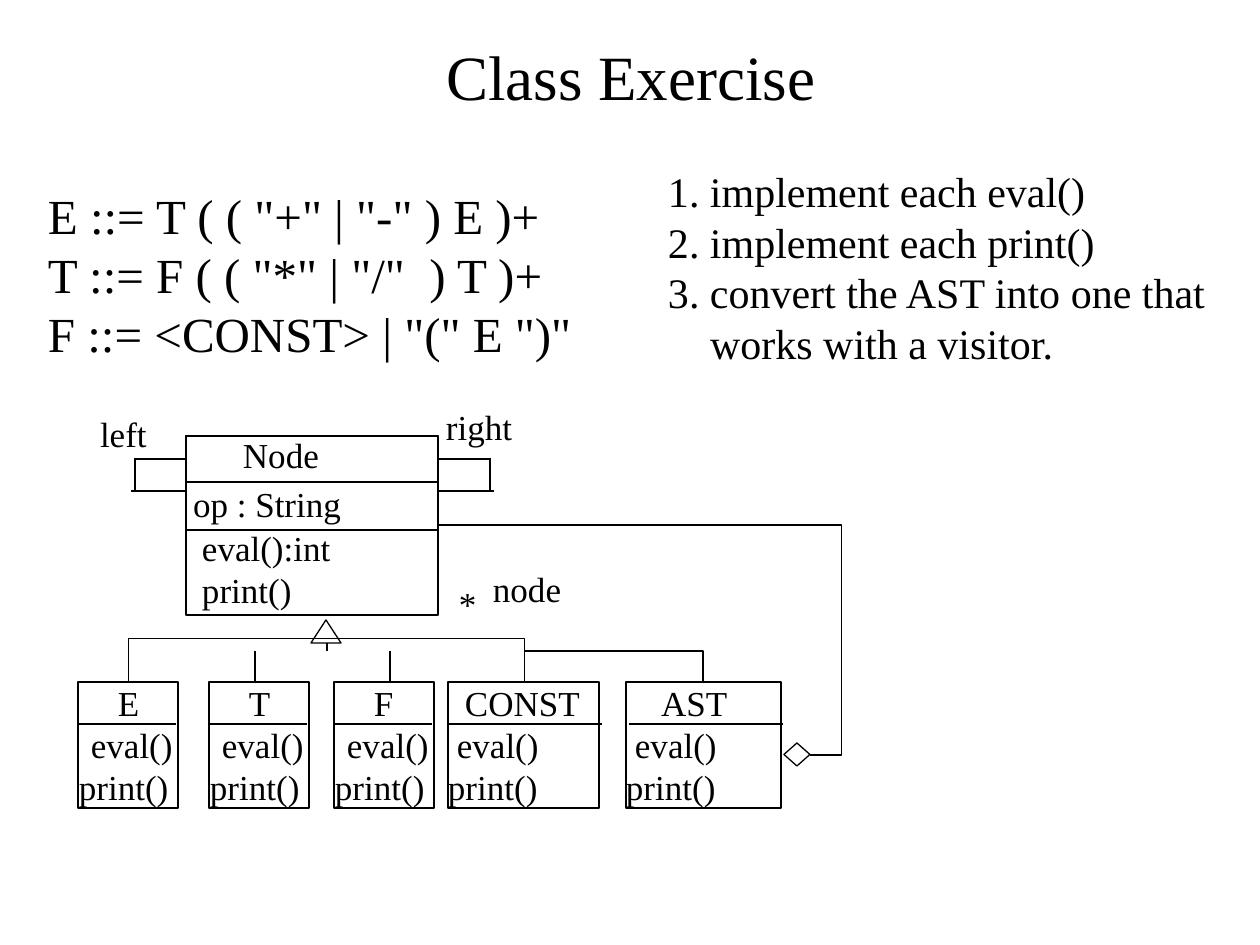
import lxml.etree
import pptx
import pptx.dml.color
import pptx.enum.shapes
import pptx.enum.text
import pptx.oxml.ns
import pptx.util

PX = 914400 // 126
BLACK = "000000"
WHITE = "FFFFFF"
FONT = "Times New Roman"
SHAPES = pptx.enum.shapes.MSO_SHAPE
CONNECTORS = pptx.enum.shapes.MSO_CONNECTOR
ALIGN = pptx.enum.text.PP_ALIGN
ANCHOR = pptx.enum.text.MSO_ANCHOR


def px(*lengths):
    """Turn pixel lengths into EMU."""
    return [pptx.util.Emu(length * PX) for length in lengths]


def color(value):
    """Turn a hex string into a colour."""
    return pptx.dml.color.RGBColor.from_string(value)


def write(shape, lines, size=20, indents=(), align=ALIGN.LEFT, anchor=ANCHOR.TOP):
    """Write one paragraph per line, each with its own left indent."""
    frame = shape.text_frame
    frame.word_wrap = True
    frame.vertical_anchor = anchor
    frame.margin_left = frame.margin_top = frame.margin_right = frame.margin_bottom = 0
    for index, line in enumerate(lines):
        para = frame.paragraphs[0] if index == 0 else frame.add_paragraph()
        if indents:
            properties = para._p.get_or_add_pPr()
            properties.set("marL", str(indents[index] * PX))
            properties.set("indent", "0")
        para.alignment = align
        para.line_spacing = pptx.util.Pt(size * 1.2)
        span = para.add_run()
        span.text = line
        span.font.name = FONT
        span.font.size = pptx.util.Pt(size)
        span.font.color.rgb = color(BLACK)


def add_text(page, bounds, lines, **style):
    """Add a text box."""
    box = page.shapes.add_textbox(*px(*bounds))
    write(box, lines, **style)
    return box


def add_outline(page, bounds, kind=SHAPES.RECTANGLE, fill=None):
    """Add a preset shape with a thin black outline."""
    shape = page.shapes.add_shape(kind, *px(*bounds))
    shape.shadow.inherit = False
    if fill:
        shape.fill.solid()
        shape.fill.fore_color.rgb = color(fill)
    else:
        shape.fill.background()
    shape.line.color.rgb = color(BLACK)
    shape.line.width = pptx.util.Pt(0.75)
    return shape


def add_line(page, start, end, kind=CONNECTORS.STRAIGHT):
    """Add a thin black connector without a shadow."""
    line = page.shapes.add_connector(kind, *px(*start, *end))
    line.line.color.rgb = color(BLACK)
    line.line.width = pptx.util.Pt(0.75)
    lxml.etree.SubElement(line._element.spPr, pptx.oxml.ns.qn("a:effectLst"))
    return line


def add_elbow(page, start, end, preset="bentConnector3", turned=False, bend=None):
    """Add a bent connector, optionally turned by 270 degrees."""
    line = add_line(page, start, end, CONNECTORS.ELBOW)
    properties = line._element.spPr
    if turned:
        properties.find(pptx.oxml.ns.qn("a:xfrm")).set("rot", "16200000")
    geometry = properties.find(pptx.oxml.ns.qn("a:prstGeom"))
    geometry.set("prst", preset)
    if bend is not None:
        guides = geometry.get_or_add_avLst()
        guide = lxml.etree.SubElement(guides, pptx.oxml.ns.qn("a:gd"))
        guide.set("name", "adj1")
        guide.set("fmla", f"val {round(bend * 100000)}")
    return line


def add_node_class(page):
    """Draw the Node class with its left and right associations."""
    left, right, top = 186, 438, 436
    add_outline(page, (left, top, right - left, 179))
    header = add_outline(page, (left, top, right - left, 46))
    for y in (482, 530):
        add_line(page, (left, y), (right, y))
    add_text(page, (243, 433, 86, 42), ["Node"])
    add_text(page, (193, 483, 160, 42), ["op : String"])
    add_text(page, (202, 527, 218, 84), ["eval():int", "print()"])
    for side, edge, upper, lower, turn in ((1, left, 134, 131, 135), (3, right, 491, 494, 490)):
        add_line(page, (edge, 459), (upper, 459)).begin_connect(header, side)
        add_line(page, (edge, 491), (lower, 491))
        add_line(page, (turn, 459), (turn, 491))


def add_subclass(page, name, left, width, rule_left, rule_width, indents):
    """Draw a subclass box with its name and methods."""
    box = add_outline(page, (left, 682, width, 126))
    write(box, [name, "eval()", "print()"], indents=indents)
    add_line(page, (rule_left, 724), (rule_left + rule_width, 724))


def add_inheritance(page):
    """Draw the inheritance tree between Node and its subclasses."""
    add_outline(page, (311, 620, 30, 23), SHAPES.ISOSCELES_TRIANGLE)
    add_elbow(page, (327, 484), (326, 880), turned=True, bend=-43)
    add_elbow(page, (598, 756), (629, 577), "bentConnector2", turned=True)
    add_line(page, (327, 643), (327, 651))
    for x in (255, 390):
        add_line(page, (x, 651), (x, 682))


def add_aggregation(page):
    """Draw the aggregation from AST to Node."""
    add_elbow(page, (810, 755), (438, 525), bend=-0.085)
    add_outline(page, (784, 743, 26, 23), SHAPES.DIAMOND, WHITE)
    add_text(page, (459, 582, 24, 42), ["*"])
    add_text(page, (493, 567, 78, 42), ["node"])


def main():
    """Build the class exercise slide."""
    deck = pptx.Presentation()
    deck.slide_width, deck.slide_height = px(1260, 945)
    page = deck.slides.add_slide(deck.slide_layouts[6])
    page.background.fill.solid()
    page.background.fill.fore_color.rgb = color(WHITE)

    add_text(page, (29, 30, 1204, 91), ["Class Exercise"], size=36,
             align=ALIGN.CENTER, anchor=ANCHOR.MIDDLE)
    add_text(page, (48, 186, 540, 176), [
        'E ::= T ( ( "+" | "-" ) E )+',
        'T ::= F ( ( "*" | "/"  ) T )+',
        'F ::= <CONST> | "(" E ")"',
    ], size=28)
    add_text(page, (668, 166, 550, 202), [
        "1. implement each eval()",
        "2. implement each print()",
        "3. convert the AST into one that",
        "works with a visitor.",
    ], size=24, indents=(0, 0, 0, 42))

    add_node_class(page)
    add_text(page, (100, 412, 56, 42), ["left"])
    add_text(page, (446, 405, 77, 42), ["right"])
    for name, left in (("E", 78), ("T", 209), ("F", 334)):
        add_subclass(page, name, left, 100, left, 98, (40, 13, 1))
    add_subclass(page, "CONST", 448, 151, 448, 154, (17, 9, 0))
    add_subclass(page, "AST", 626, 155, 629, 154, (35, 9, 0))
    add_inheritance(page)
    add_aggregation(page)

    deck.save("out.pptx")


if __name__ == "__main__":
    main()
